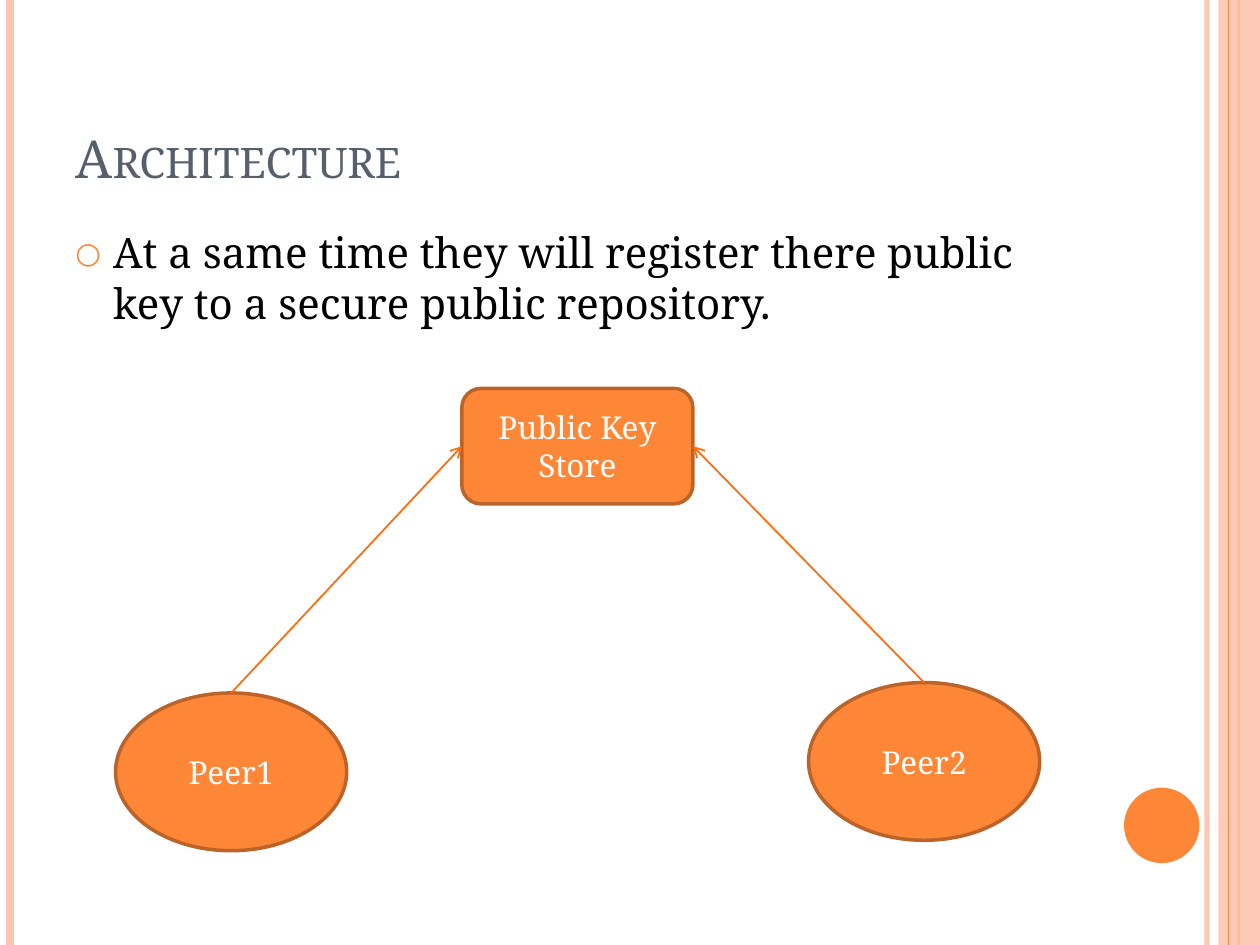
from dataclasses import dataclass

from lxml.etree import SubElement
from pptx import Presentation
from pptx.dml.color import RGBColor
from pptx.enum.shapes import MSO_CONNECTOR, MSO_SHAPE
from pptx.enum.text import MSO_ANCHOR, MSO_AUTO_SIZE, PP_ALIGN
from pptx.oxml.ns import qn
from pptx.util import Cm, Pt


@dataclass(frozen=True)
class Theme:
    font: str = "Noto Serif"
    accent: str = "FE8637"
    pale: str = "FEC3AE"
    outline: str = "BC6329"
    arrow: str = "FF6B0A"
    title: str = "575F6D"
    body: str = "000000"
    light: str = "FFFFFF"
    title_size: int = 30
    body_size: int = 24
    label_size: int = 18


T = Theme()
WIDTH, HEIGHT = 25.4, 19.05
NODE_W = 4.66


def rgb(value):
    return RGBColor.from_string(value)


def style_runs(tf, size, color):
    for p in tf.paragraphs:
        for r in p.runs:
            r.font.name = T.font
            r.font.size = Pt(size)
            r.font.color.rgb = rgb(color)


def set_alpha(fill_parent, percent):
    color = fill_parent.find(".//" + qn("a:srgbClr"))
    SubElement(color, qn("a:alpha"), val=str(percent * 1000))


def add_line(s, start, end, color, width):
    c = s.shapes.add_connector(
        MSO_CONNECTOR.STRAIGHT, *(Cm(v) for v in (*start, *end)))
    c.line.color.rgb = rgb(color)
    c.line.width = Pt(width)
    SubElement(c._element.spPr, qn("a:effectLst"))
    return c


def add_stripe(s, x, color, width):
    return add_line(s, (x, 0), (x, HEIGHT), color, width)


def add_block(s, kind, x, y, w, h):
    sp = s.shapes.add_shape(kind, Cm(x), Cm(y), Cm(w), Cm(h))
    sp.shadow.inherit = False
    sp.fill.solid()
    sp.fill.fore_color.rgb = rgb(T.accent)
    sp.line.fill.background()
    return sp


def add_node(s, kind, text, x, y, h):
    sp = add_block(s, kind, x, y, NODE_W, h)
    sp.line.color.rgb = rgb(T.outline)
    sp.line.width = Pt(2)
    tf = sp.text_frame
    tf.text = text
    tf.word_wrap = True
    tf.vertical_anchor = MSO_ANCHOR.MIDDLE
    tf.paragraphs[0].alignment = PP_ALIGN.CENTER
    style_runs(tf, T.label_size, T.light)
    return sp


def add_arrow(s, source, target, side):
    c = add_line(s, (0, 0), (1, 1), T.arrow, 1)
    c.begin_connect(source, 0)
    c.end_connect(target, side)
    SubElement(c.line._get_or_add_ln(), qn("a:tailEnd"), type="arrow")


def add_decoration(s):
    edge = add_stripe(s, 24.33, T.pale, 3)
    set_alpha(edge._element.spPr, 93)
    add_stripe(s, 0.2, T.pale, 4.5)
    add_stripe(s, 24.97, T.accent, 1.5)
    band = add_block(s, MSO_SHAPE.RECTANGLE, 24.56, 0, WIDTH - 24.56, HEIGHT)
    band.fill.fore_color.rgb = rgb(T.pale)
    set_alpha(band._element.spPr, 87)
    add_stripe(s, 24.77, T.accent, 0.75)
    add_block(s, MSO_SHAPE.OVAL, 22.66, 15.88, 1.52, 1.52)


def set_title(s, text):
    sp = s.shapes.title
    sp.left, sp.top, sp.width, sp.height = Cm(1.27), Cm(0.76), Cm(20.75), Cm(3.18)
    tf = sp.text_frame
    tf.text = text
    tf.auto_size = MSO_AUTO_SIZE.NONE
    tf.vertical_anchor = MSO_ANCHOR.BOTTOM
    p = tf.paragraphs[0]
    p.alignment = PP_ALIGN.LEFT
    style_runs(tf, T.title_size, T.title)
    p.runs[0].font._element.set("cap", "small")


def add_bullet_text(s, text):
    sp = s.shapes.add_textbox(Cm(1.27), Cm(4.45), Cm(20.75), Cm(13.54))
    tf = sp.text_frame
    tf.word_wrap = True
    tf.text = text
    p = tf.paragraphs[0]
    p.space_before = Pt(6)
    style_runs(tf, T.body_size, T.body)
    pPr = p._p.get_or_add_pPr()
    pPr.set("marL", str(Cm(0.76)))
    pPr.set("indent", str(Cm(-0.76)))
    SubElement(SubElement(pPr, qn("a:buClr")), qn("a:srgbClr"), val=T.accent)
    SubElement(pPr, qn("a:buSzPct"), val="70000")
    SubElement(pPr, qn("a:buFont"), typeface=T.font)
    SubElement(pPr, qn("a:buChar"), char="○")


def main():
    prs = Presentation()
    prs.slide_width, prs.slide_height = Cm(WIDTH), Cm(HEIGHT)
    s = prs.slides.add_slide(prs.slide_layouts[5])
    add_decoration(s)
    set_title(s, "Architecture")
    add_bullet_text(s, "At a same time they will register there public "
                       "key to a secure public repository.")
    peer2 = add_node(s, MSO_SHAPE.OVAL, "Peer2", 16.3, 13.76, 3.18)
    peer1 = add_node(s, MSO_SHAPE.OVAL, "Peer1", 2.33, 13.97, 3.18)
    store = add_node(s, MSO_SHAPE.ROUNDED_RECTANGLE, "Public Key Store",
                     9.31, 7.83, 2.33)
    add_arrow(s, peer1, store, 1)
    add_arrow(s, peer2, store, 3)
    prs.save("out.pptx")


if __name__ == "__main__":
    main()
